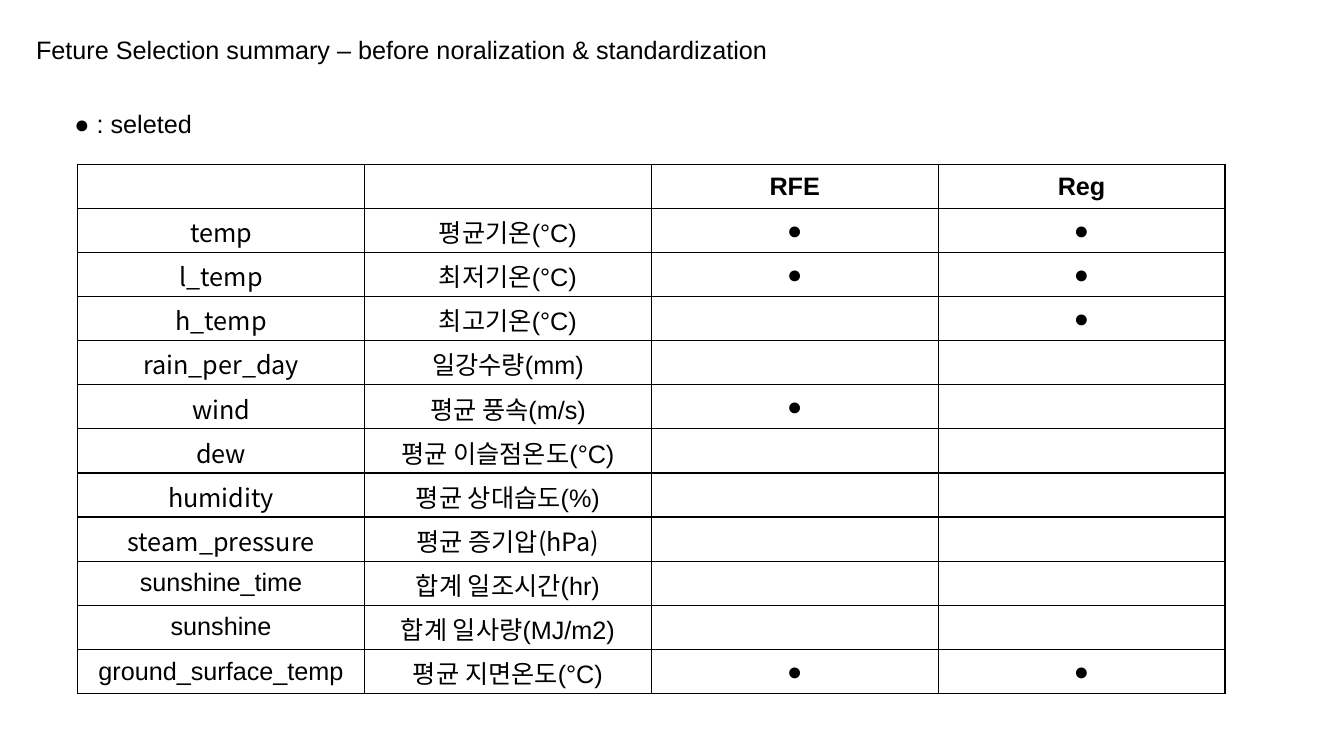
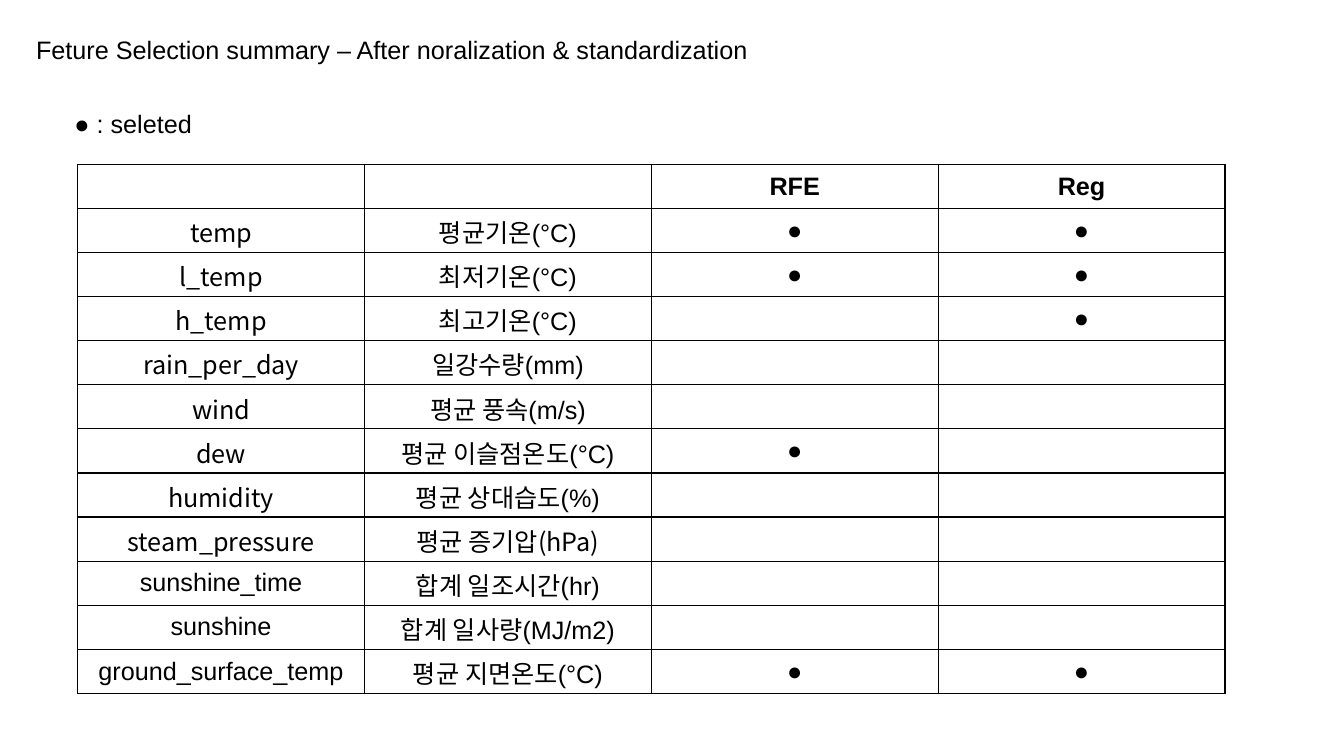
from lxml.etree import SubElement
from pptx import Presentation
from pptx.dml.color import RGBColor
from pptx.enum.text import MSO_ANCHOR as Anchor, MSO_AUTO_SIZE as AutoSize, PP_ALIGN as Align
from pptx.oxml.ns import qn
from pptx.util import Inches, Pt

# Content
LATIN, KOREAN = "Arial", "Noto Sans CJK KR"
BLACK, WHITE = "000000", "FFFFFF"
MARK = "●"
LEGEND = f"{MARK} : seleted"
HEADERS = ("", "", "RFE", "Reg")

# Feature, its description, and the font of each
FEATURES = [
    ("temp", "평균기온(°C)", KOREAN, LATIN),
    ("l_temp", "최저기온(°C)", KOREAN, LATIN),
    ("h_temp", "최고기온(°C)", KOREAN, LATIN),
    ("rain_per_day", "일강수량(mm)", KOREAN, LATIN),
    ("wind", "평균 풍속(m/s)", KOREAN, LATIN),
    ("dew", "평균 이슬점온도(°C)", KOREAN, LATIN),
    ("humidity", "평균 상대습도(%)", KOREAN, LATIN),
    ("steam_pressure", "평균 증기압(hPa)", KOREAN, KOREAN),
    ("sunshine_time", "합계 일조시간(hr)", LATIN, LATIN),
    ("sunshine", "합계 일사량(MJ/m2)", LATIN, LATIN),
    ("ground_surface_temp", "평균 지면온도(°C)", LATIN, LATIN),
]

# Title, title width, features selected by RFE and by Reg
REG_SELECTED = {"temp", "l_temp", "h_temp", "ground_surface_temp"}
SUMMARIES = [
    ("Feture Selection summary – before noralization & standardization", 7.93,
     {"temp", "l_temp", "wind", "ground_surface_temp"}, REG_SELECTED),
    ("Feture Selection summary – After noralization & standardization", 7.9,
     {"temp", "l_temp", "dew", "ground_surface_temp"}, REG_SELECTED),
]

# Layout, in inches
TABLE_LEFT, TABLE_TOP, TABLE_WIDTH, TABLE_HEIGHT = 0.77, 1.63, 11.38, 5.25


def color(value):
    return RGBColor.from_string(value)


def write(frame, text, font=LATIN, size=18, bold=False, align=Align.LEFT):
    para = frame.paragraphs[0]
    para.alignment = align
    if not text:
        para.font.size = Pt(size)
        return
    span = para.add_run()
    span.text = text
    span.font.name = font
    span.font.size = Pt(size)
    span.font.bold = bold
    span.font.color.rgb = color(BLACK)
    SubElement(span.font._element, qn("a:ea")).set("typeface", KOREAN)


def add_label(page, text, left, top, width, height=0.4):
    box = page.shapes.add_textbox(Inches(left), Inches(top), Inches(width), Inches(height))
    box.text_frame.word_wrap = True
    box.text_frame.auto_size = AutoSize.SHAPE_TO_FIT_TEXT
    write(box.text_frame, text)


def style_cell(cell):
    cell.vertical_anchor = Anchor.MIDDLE
    properties = cell._tc.get_or_add_tcPr()
    for side in ("lnL", "lnR", "lnT", "lnB"):
        line = SubElement(properties, qn(f"a:{side}"), w=str(Pt(1)))
        fill = SubElement(line, qn("a:solidFill"))
        SubElement(fill, qn("a:srgbClr"), val=BLACK)
    cell.fill.solid()
    cell.fill.fore_color.rgb = color(WHITE)


def add_feature_table(page, selections):
    # Each row is a list of (text, font) pairs
    rows = [[(header, LATIN) for header in HEADERS]]
    for name, description, name_font, description_font in FEATURES:
        marks = [(MARK if name in chosen else "", LATIN) for chosen in selections]
        rows.append([(name, name_font), (description, description_font), *marks])

    table = page.shapes.add_table(
        len(rows), len(HEADERS), Inches(TABLE_LEFT), Inches(TABLE_TOP),
        Inches(TABLE_WIDTH), Inches(TABLE_HEIGHT)).table
    table.first_row = table.horz_banding = False
    for row_index, row in enumerate(rows):
        for column_index, (text, font) in enumerate(row):
            cell = table.cell(row_index, column_index)
            style_cell(cell)
            write(cell.text_frame, text, font=font, bold=row_index == 0, align=Align.CENTER)


# Slides
deck = Presentation()
deck.slide_width, deck.slide_height = Inches(13.33), Inches(7.5)
for title, title_width, *selections in SUMMARIES:
    page = deck.slides.add_slide(deck.slide_layouts[6])
    add_label(page, title, 0.26, 0.29, title_width)
    add_feature_table(page, selections)
    add_label(page, LEGEND, 0.64, 1.03, 1.47)
deck.save("out.pptx")
